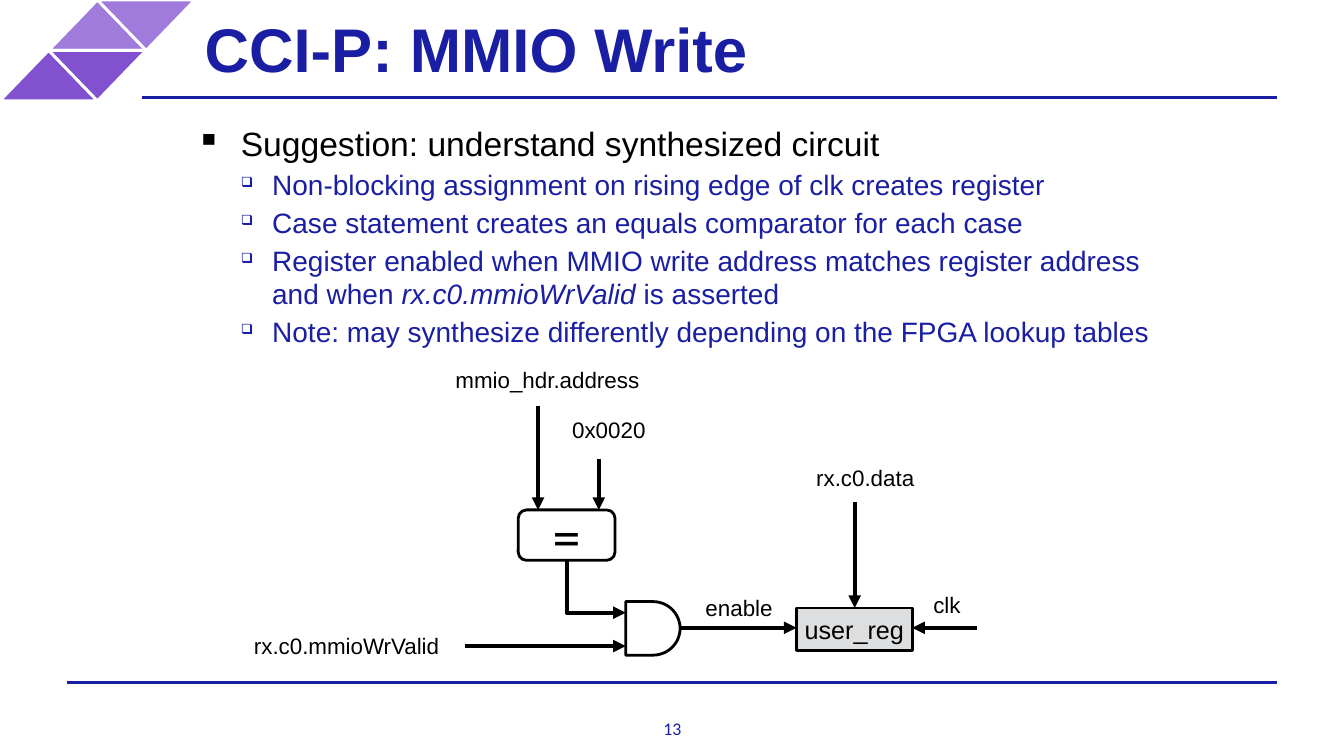
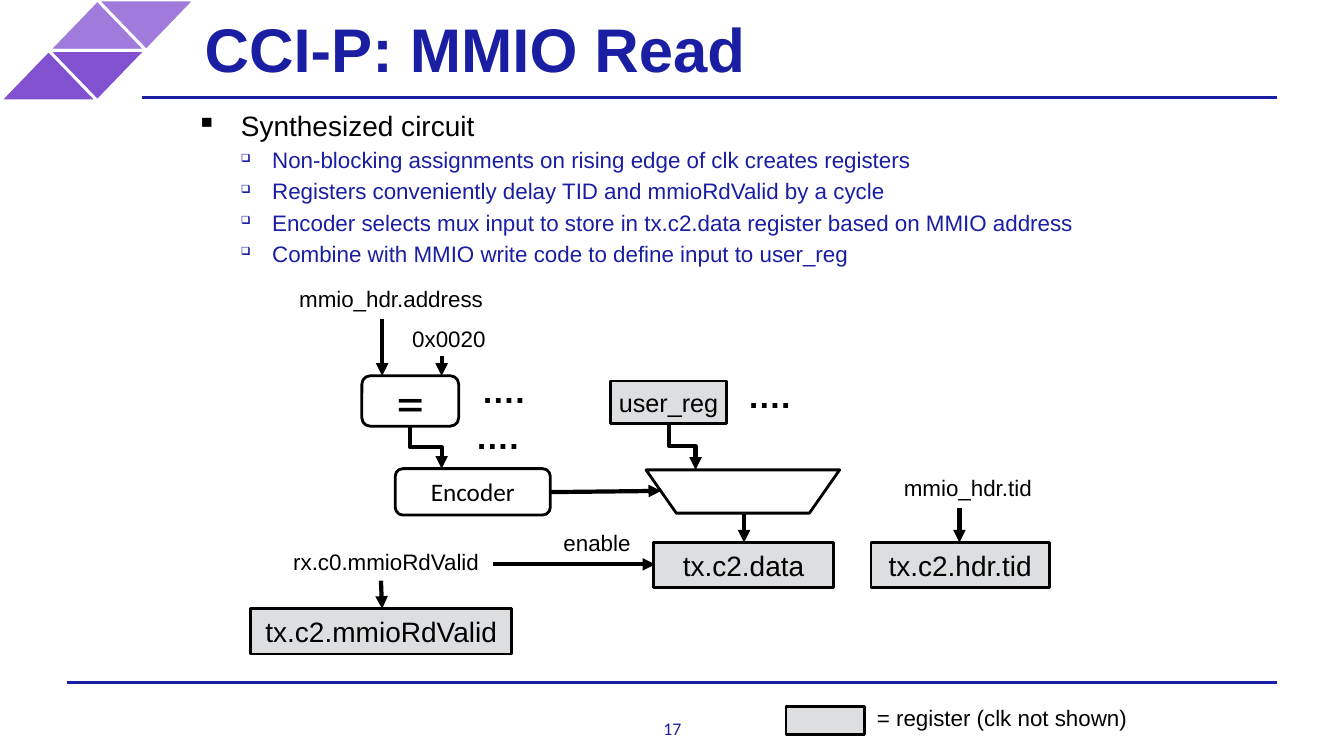
from lxml.etree import SubElement
from pptx import Presentation
from pptx.dml.color import RGBColor
from pptx.enum.shapes import MSO_CONNECTOR, MSO_SHAPE
from pptx.enum.text import MSO_ANCHOR, PP_ALIGN
from pptx.oxml.ns import qn
from pptx.util import Cm, Pt

COLORS = {
    "navy": "191EA2",
    "light": "A07BDB",
    "purple": "8151CF",
    "grey": "DCDEE0",
    "black": "000000",
    "white": "FFFFFF",
}
REGISTER = (MSO_SHAPE.RECTANGLE, "grey")
BLOCK = (MSO_SHAPE.ROUNDED_RECTANGLE, "white")
GATE = (MSO_SHAPE.FLOWCHART_DELAY, "white")
MUX = (MSO_SHAPE.TRAPEZOID, "white")

TITLE = {"name": "Arial", "size": 44, "color": "navy", "bold": True}
NUMBER = {"name": "Calibri", "size": 12.7, "color": "navy"}
LABEL = {"name": "Arial", "size": 16, "color": "black"}
DOTS = {"name": "Arial", "size": 24, "color": "black", "bold": True}
SMALL = {"name": "Arial", "size": 18, "color": "black"}
LARGE = {"name": "Arial", "size": 20, "color": "black"}
EQUALS = {"name": "Calibri", "size": 40, "color": "black"}
ENCODER = {"name": "Calibri", "size": 18, "color": "black"}

BULLETS = [
    {"char": "▪", "scale": 100, "color": "black", "left": 1.27, "hang": 1.12, "before": 6},
    {"char": "❑", "scale": 50, "color": "navy", "left": 2.06, "hang": 0.79, "before": 3},
]

SLIDES = [
    {
        "title": "CCI-P: MMIO Write",
        "number": "13",
        "body": (4.8, 3.1, 24.84, 7.21),
        "sizes": (24, 20),
        "points": [
            (0, ["Suggestion: understand synthesized circuit"]),
            (1, ["Non-blocking assignment on rising edge of clk creates register"]),
            (1, ["Case statement creates an equals comparator for each case"]),
            (1, ["Register enabled when MMIO write address matches register address and when ",
                 "rx.c0.mmioWrValid", " is asserted"]),
            (1, ["Note: may synthesize differently depending on the FPGA lookup tables"]),
        ],
        "parts": [
            (REGISTER, (20.07, 15.32, 2.92, 1.07), "user_reg", SMALL),
            (BLOCK, (13.06, 12.85, 2.44, 1.27), "=", EQUALS),
            (GATE, (15.77, 15.16, 1.37, 1.35), "", SMALL),
        ],
        "labels": [
            ("mmio_hdr.address", (11.33, 9.07, 5.16, 0.97), LABEL),
            ("0x0020", (14.27, 10.34, 2.24, 0.97), LABEL),
            ("rx.c0.mmioWrValid", (6.25, 15.77, 5.16, 0.97), LABEL),
            ("enable", (17.63, 14.83, 2.06, 0.97), LABEL),
            ("clk", (23.37, 14.76, 1.98, 0.97), LABEL),
            ("rx.c0.data", (20.42, 11.56, 5.16, 0.97), LABEL),
        ],
        "arrows": [
            (13.56, 10.24, 13.56, 12.85),
            (15.09, 11.56, 15.09, 12.85),
            (11.71, 16.28, 15.77, 16.28),
            (17.14, 15.82, 20.07, 15.82),
            (24.61, 15.82, 22.99, 15.82),
            (21.54, 12.65, 21.54, 15.32),
        ],
        "elbows": [("bentConnector2", (14.28, 14.12, 15.77, 15.44))],
    },
    {
        "title": "CCI-P: MMIO Read",
        "number": "17",
        "body": (4.8, 2.74, 24.28, 2.69),
        "sizes": (20, 16),
        "points": [
            (0, ["Synthesized circuit"]),
            (1, ["Non-blocking assignments on rising edge of clk creates registers"]),
            (1, ["Registers conveniently delay TID and mmioRdValid by a cycle"]),
            (1, ["Encoder selects mux input to store in tx.c2.data register based on MMIO address"]),
            (1, ["Combine with MMIO write code to define input to user_reg"]),
        ],
        "parts": [
            (REGISTER, (15.39, 9.6, 2.92, 1.07), "user_reg", SMALL),
            (BLOCK, (9.12, 9.47, 2.44, 1.27), "=", EQUALS),
            (REGISTER, (16.48, 13.67, 4.52, 1.14), "tx.c2.data", LARGE),
            (BLOCK, (9.96, 11.81, 3.91, 1.17), "Encoder", ENCODER),
            (MUX, (16.28, 11.84, 4.88, 1.09), "", SMALL),
            (REGISTER, (21.95, 13.67, 4.5, 1.14), "tx.c2.hdr.tid", LARGE),
            (REGISTER, (6.32, 15.34, 6.58, 1.14), "tx.c2.mmioRdValid", LARGE),
            (REGISTER, (19.81, 17.81, 1.98, 0.69), "", SMALL),
        ],
        "labels": [
            ("mmio_hdr.address", (7.39, 7.04, 5.16, 0.97), LABEL),
            ("0x0020", (10.24, 8.05, 2.24, 0.97), LABEL),
            ("rx.c0.mmioRdValid", (7.24, 13.67, 5.16, 0.97), LABEL),
            ("enable", (14.05, 13.18, 2.24, 0.97), LABEL),
            ("mmio_hdr.tid", (22.63, 11.79, 3.63, 0.97), LABEL),
            ("= register (clk not shown)", (21.95, 17.6, 7.01, 0.97), LABEL),
            ("….", (11.99, 9.17, 1.42, 1.32), DOTS),
            ("….", (11.84, 10.34, 1.42, 1.32), DOTS),
            ("….", (18.69, 9.3, 1.42, 1.32), DOTS),
        ],
        "arrows": [
            (9.63, 8.05, 9.63, 9.47),
            (11.13, 8.97, 11.13, 9.47),
            (12.42, 14.22, 16.51, 14.22),
            (18.75, 12.93, 18.75, 13.67),
            (13.89, 12.4, 16.66, 12.37),
            (24.18, 12.8, 24.18, 13.67),
            (9.6, 14.63, 9.63, 15.34),
        ],
        "elbows": [
            ("bentConnector3", (10.34, 10.74, 11.13, 11.81)),
            ("bentConnector3", (16.87, 10.64, 17.53, 11.84)),
        ],
    },
]


def rgb(name):
    return RGBColor.from_string(COLORS[name])


def add_span(para, text, style):
    span = para.add_run()
    span.text = text
    for key, value in style.items():
        if key == "color":
            span.font.color.rgb = rgb(value)
        else:
            setattr(span.font, key, Pt(value) if key == "size" else value)


def set_frame(frame, inset, anchor, wrap=True):
    frame.word_wrap = wrap
    frame.vertical_anchor = anchor
    for side in ("left", "top", "right", "bottom"):
        setattr(frame, f"margin_{side}", Cm(inset))


def add_text(page, text, place, style, inset=0.15, align=PP_ALIGN.LEFT, wrap=True):
    box = page.shapes.add_textbox(*map(Cm, place))
    set_frame(box.text_frame, inset, MSO_ANCHOR.MIDDLE, wrap)
    para = box.text_frame.paragraphs[0]
    para.alignment = align
    add_span(para, text, style)


def add_part(page, preset, place, fill, outline="black"):
    shape = page.shapes.add_shape(preset, *map(Cm, place))
    shape.shadow.inherit = False
    shape.fill.solid()
    shape.fill.fore_color.rgb = rgb(fill)
    shape.line.color.rgb = rgb(outline)
    shape.line.width = Pt(2)
    return shape


def add_line(page, ends, color="black", width=3, kind=MSO_CONNECTOR.STRAIGHT, arrow=True):
    line = page.shapes.add_connector(kind, *map(Cm, ends))
    line.line.color.rgb = rgb(color)
    line.line.width = Pt(width)
    if arrow:
        SubElement(line.line._get_or_add_ln(), qn("a:tailEnd"), type="triangle")
    SubElement(line._element.spPr, qn("a:effectLst"))
    return line


def add_elbow(page, preset, ends):
    left, top, right, bottom = ends
    middle_x, middle_y = (left + right) / 2, (top + bottom) / 2
    half_width, half_height = (bottom - top) / 2, (right - left) / 2
    turned = (middle_x + half_width, middle_y - half_height,
              middle_x - half_width, middle_y + half_height)
    line = add_line(page, turned, kind=MSO_CONNECTOR.ELBOW)
    line.rotation = 270
    line._element.spPr.find(qn("a:prstGeom")).set("prst", preset)


def add_points(page, place, points, sizes):
    box = page.shapes.add_textbox(*map(Cm, place))
    set_frame(box.text_frame, 0, MSO_ANCHOR.TOP)
    for index, (level, texts) in enumerate(points):
        frame = box.text_frame
        para = frame.add_paragraph() if index else frame.paragraphs[0]
        bullet = BULLETS[level]
        para.level = level
        para.space_before = Pt(bullet["before"])
        properties = para._p.get_or_add_pPr()
        properties.set("marL", str(Cm(bullet["left"])))
        properties.set("indent", str(-Cm(bullet["hang"])))
        SubElement(properties, qn("a:buSzPct"), val=str(bullet["scale"] * 1000))
        SubElement(properties, qn("a:buChar"), char=bullet["char"])
        style = {"name": "Arial", "size": sizes[level], "color": bullet["color"]}
        for order, text in enumerate(texts):
            add_span(para, text, {**style, "italic": order % 2 == 1})


def add_base(page, title, number):
    step, width, height = 1.23, 2.45, 1.27
    for row, color in enumerate(("light", "purple")):
        for column in range(2):
            place = ((1 - row + column) * step, row * height, width, height)
            triangle = add_part(page, MSO_SHAPE.ISOSCELES_TRIANGLE, place, color, "white")
            triangle.rotation = 180 * column
    for left, top in ((1.68, 17.2), (3.58, 2.46)):
        add_line(page, (left, top, 32.18, top), "navy", 2, arrow=False)
    add_text(page, title, (4.8, 0, 25.6, 2.41), TITLE, 0.36)
    add_text(page, number, (16.69, 18.08, 0.51, 0.53), NUMBER, 0, PP_ALIGN.CENTER, False)


def add_circuit(page, content):
    for (preset, fill), place, text, style in content["parts"]:
        shape = add_part(page, preset, place, fill)
        if preset == MSO_SHAPE.TRAPEZOID:
            shape.rotation = 180
            shape.adjustments[0] = 0.7
        if text:
            set_frame(shape.text_frame, 0.15, MSO_ANCHOR.MIDDLE)
            para = shape.text_frame.paragraphs[0]
            para.alignment = PP_ALIGN.CENTER
            add_span(para, text, style)
    for ends in content["arrows"]:
        add_line(page, ends)
    for preset, ends in content["elbows"]:
        add_elbow(page, preset, ends)
    for text, place, style in content["labels"]:
        add_text(page, text, place, style)


def main():
    deck = Presentation()
    deck.slide_width, deck.slide_height = Cm(33.87), Cm(19.05)
    for content in SLIDES:
        page = deck.slides.add_slide(deck.slide_layouts[6])
        add_base(page, content["title"], content["number"])
        add_points(page, content["body"], content["points"], content["sizes"])
        add_circuit(page, content)
    deck.save("out.pptx")


if __name__ == "__main__":
    main()
